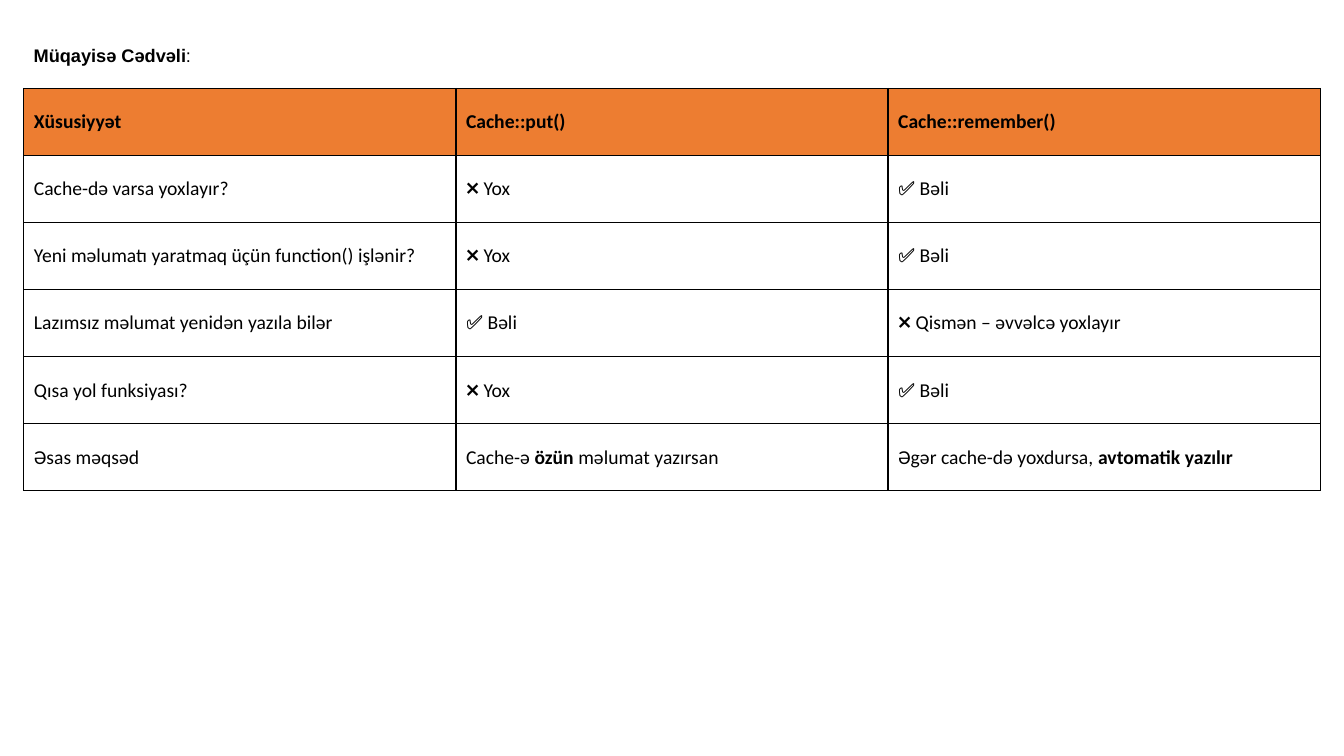
from dataclasses import dataclass

from lxml import etree
from pptx import Presentation
from pptx.dml.color import RGBColor
from pptx.enum import text
from pptx.oxml import ns
from pptx.util import Cm, Pt


@dataclass(frozen=True)
class Theme:
    ink: str = "000000"
    header: str = "ED7D31"
    title_font: str = "Arial"
    table_font: str = "Calibri"
    title_size: float = 13
    table_size: float = 14
    border: float = 1


THEME = Theme()
LEFT, WIDTH = Cm(0.6), Cm(32.67)
ROW_HEIGHT = Cm(1.69)

TITLE = "**Müqayisə Cədvəli**:"
ROWS = [
    ("**Xüsusiyyət**", "**Cache::put()**", "**Cache::remember()**"),
    ("Cache-də varsa yoxlayır?", "❌ Yox", "✅ Bəli"),
    ("Yeni məlumatı yaratmaq üçün function() işlənir?", "❌ Yox", "✅ Bəli"),
    ("Lazımsız məlumat yenidən yazıla bilər", "✅ Bəli", "❌ Qismən – əvvəlcə yoxlayır"),
    ("Qısa yol funksiyası?", "❌ Yox", "✅ Bəli"),
    ("Əsas məqsəd", "Cache-ə **özün** məlumat yazırsan",
     "Əgər cache-də yoxdursa, **avtomatik yazılır**"),
]


def write(p, marked, font, size):
    """Fill a paragraph; words between double asterisks become bold."""
    p.font.name = font
    p.font.size = Pt(size)
    p.font.color.rgb = RGBColor.from_string(THEME.ink)
    for i, part in enumerate(marked.split("**")):
        if part:
            r = p.add_run()
            r.text = part
            r.font.bold = i % 2 == 1


def add_title(s):
    sp = s.shapes.add_textbox(LEFT, Cm(0.71), WIDTH, Cm(1))
    tf = sp.text_frame
    tf.word_wrap = True
    tf.auto_size = text.MSO_AUTO_SIZE.SHAPE_TO_FIT_TEXT
    p = tf.paragraphs[0]
    p.line_spacing = 1.5
    write(p, TITLE, THEME.title_font, THEME.title_size)


def add_borders(cell):
    tc_pr = cell._tc.get_or_add_tcPr()
    for side in ("lnL", "lnR", "lnT", "lnB"):
        ln = etree.SubElement(tc_pr, ns.qn(f"a:{side}"), w=str(Pt(THEME.border)))
        fill = etree.SubElement(ln, ns.qn("a:solidFill"))
        etree.SubElement(fill, ns.qn("a:srgbClr"), val=THEME.ink)


def style_cell(cell, is_header):
    cell.vertical_anchor = text.MSO_ANCHOR.MIDDLE
    add_borders(cell)
    if is_header:
        cell.fill.solid()
        cell.fill.fore_color.rgb = RGBColor.from_string(THEME.header)
    else:
        cell.fill.background()


def add_comparison(s):
    table = s.shapes.add_table(len(ROWS), len(ROWS[0]), LEFT, Cm(2.23),
                               WIDTH, ROW_HEIGHT * len(ROWS)).table
    table.first_row = table.horz_banding = False
    for i, row in enumerate(ROWS):
        for j, marked in enumerate(row):
            cell = table.cell(i, j)
            style_cell(cell, is_header=i == 0)
            write(cell.text_frame.paragraphs[0], marked,
                  THEME.table_font, THEME.table_size)


def main():
    prs = Presentation()
    prs.slide_width, prs.slide_height = Cm(33.87), Cm(19.05)
    s = prs.slides.add_slide(prs.slide_layouts[6])
    add_title(s)
    add_comparison(s)
    prs.save("out.pptx")


if __name__ == "__main__":
    main()
